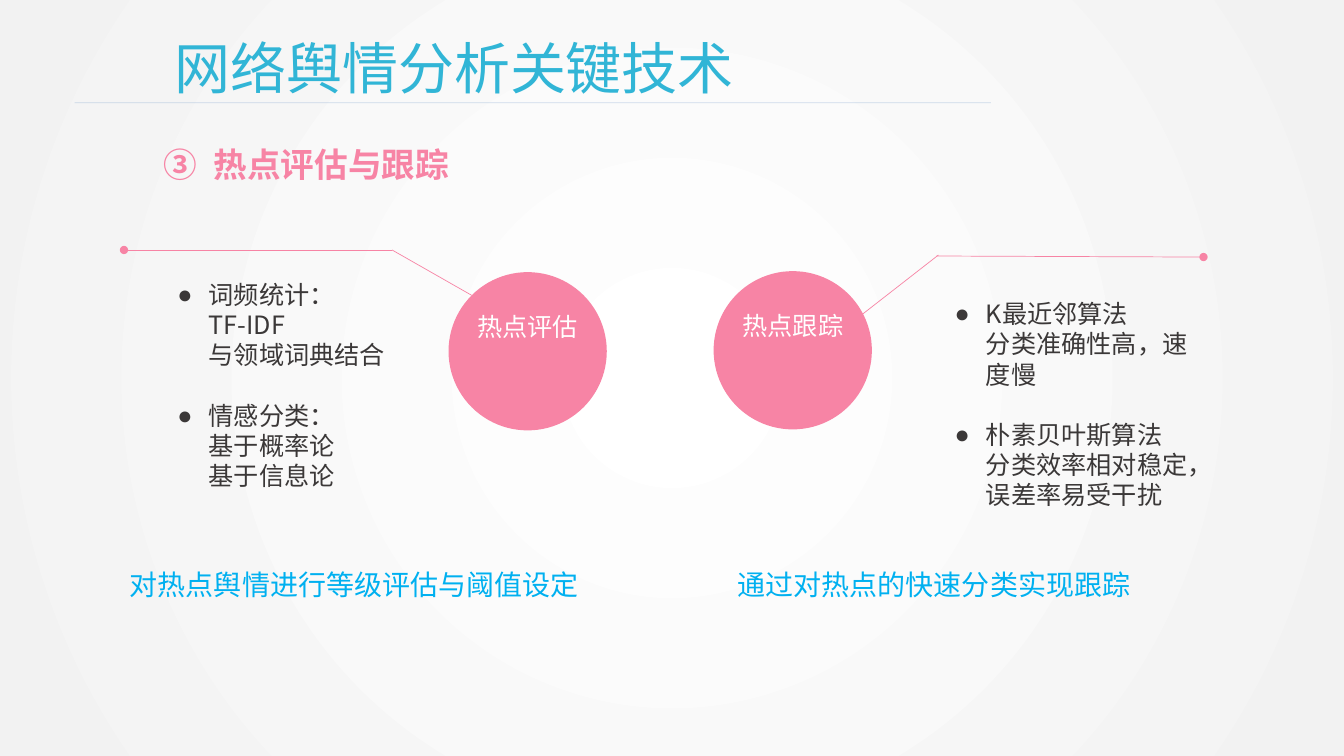
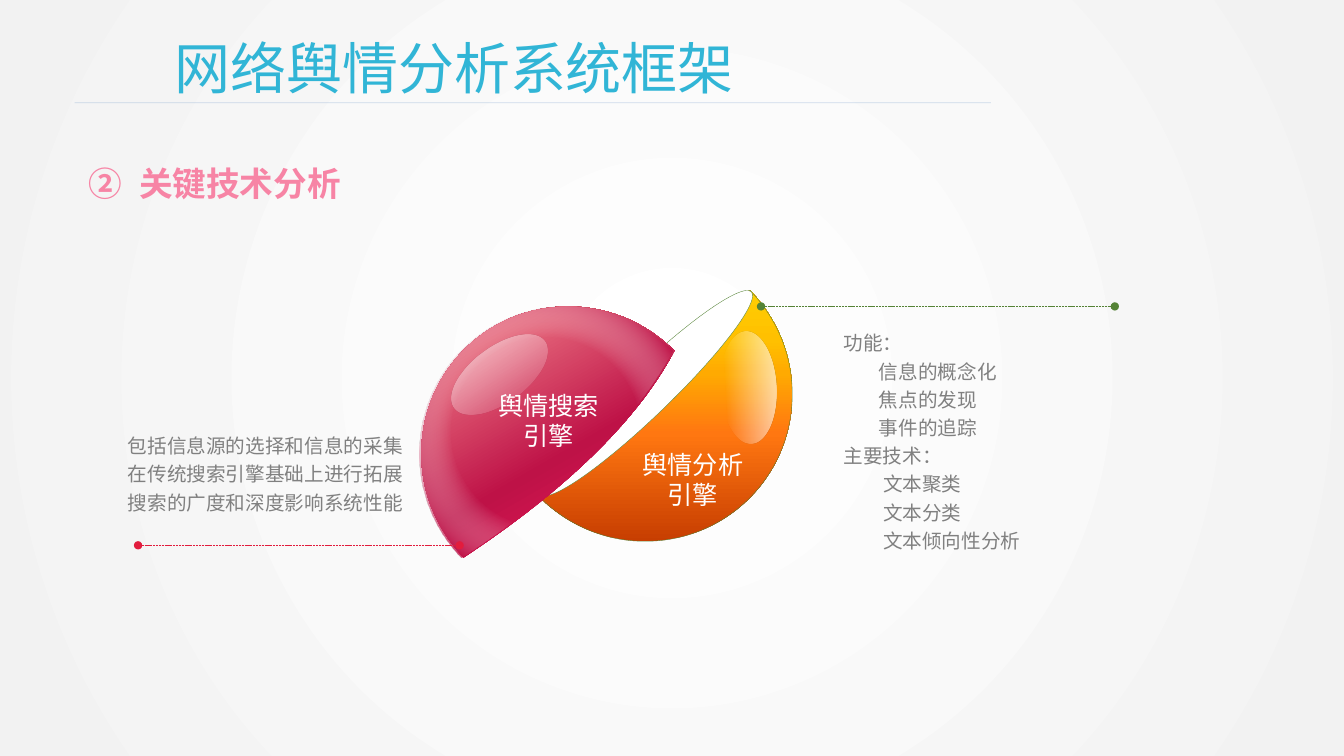
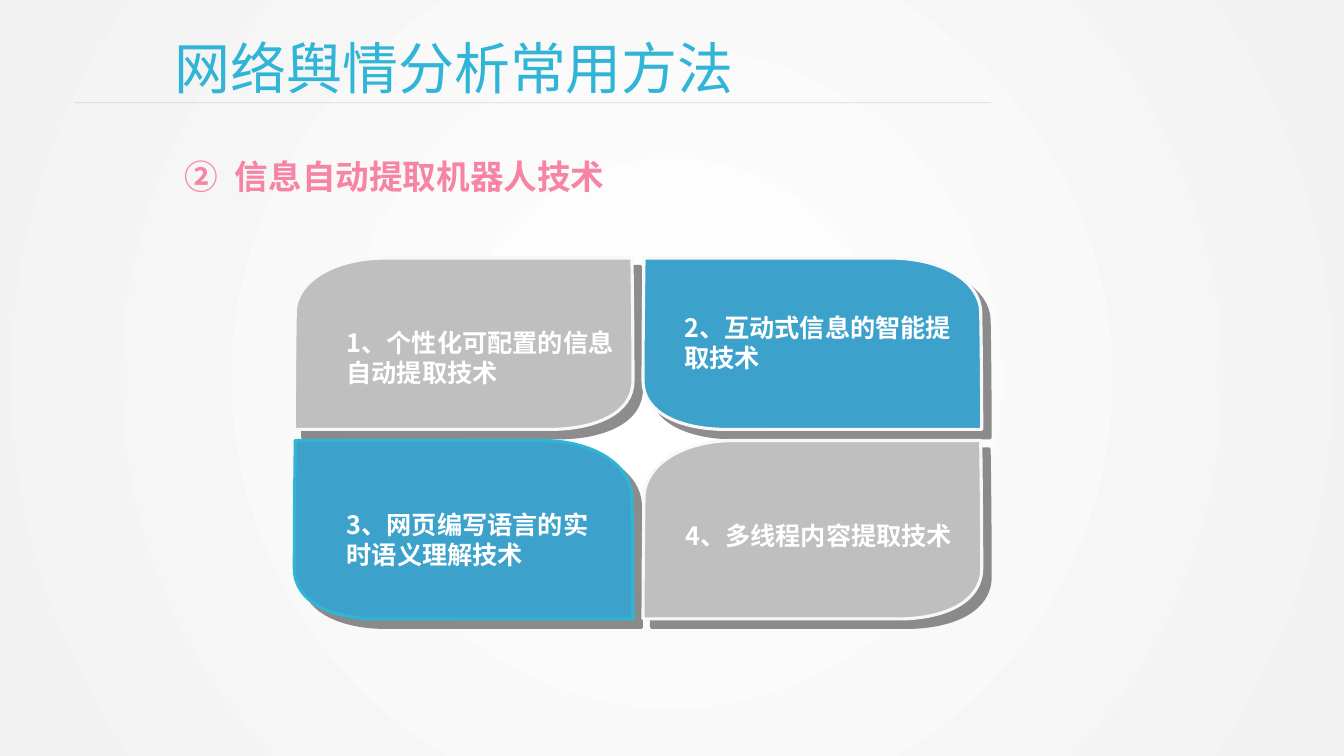
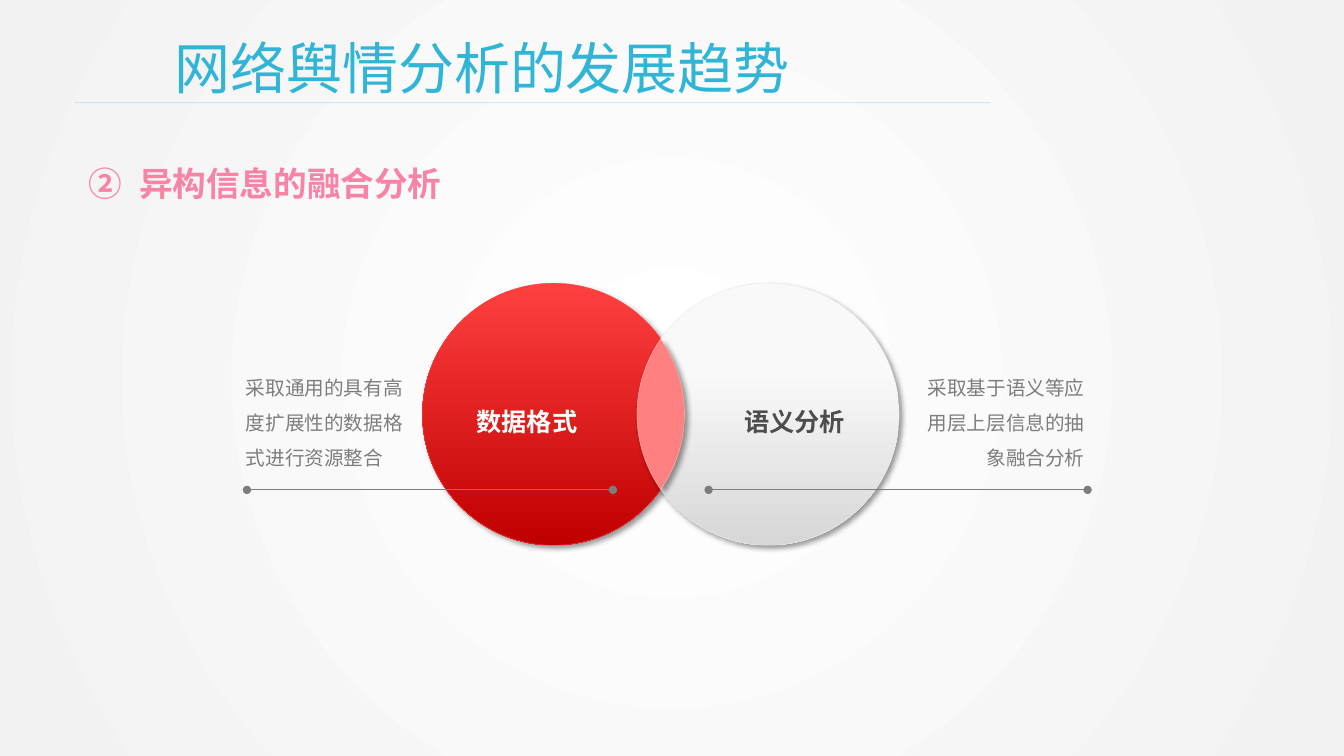
import math

import lxml.etree
import pptx
import pptx.dml.color
import pptx.enum.dml
import pptx.enum.shapes
import pptx.enum.text
import pptx.oxml
import pptx.oxml.ns
import pptx.util

RGBColor = pptx.dml.color.RGBColor
SHAPE = pptx.enum.shapes.MSO_SHAPE
ALIGN = pptx.enum.text.PP_ALIGN
ANCHOR = pptx.enum.text.MSO_ANCHOR
qn = pptx.oxml.ns.qn

EMU_PER_PX = 9144
FONT = "Noto Sans CJK SC"
TITLE_BODY, TWO_BODIES, FOUR_BODIES = 1, 3, 4

WHITE = RGBColor(0xFF, 0xFF, 0xFF)
BLACK = RGBColor(0x00, 0x00, 0x00)
PAGE_EDGE = RGBColor(0xF2, 0xF2, 0xF2)
CYAN = RGBColor(0x31, 0xB5, 0xD6)
RULE_BLUE = RGBColor(0x4A, 0x7E, 0xBB)
PINK = RGBColor(0xF7, 0x84, 0xA5)
SKY = RGBColor(0x00, 0xB0, 0xF0)
CHARCOAL = RGBColor(0x3B, 0x38, 0x38)
TEXT_GREY = RGBColor(0x80, 0x80, 0x80)
CAPTION_GREY = RGBColor(0x7D, 0x7D, 0x7D)
LABEL_GREY = RGBColor(0x4D, 0x4D, 0x4D)
GREEN = RGBColor(0x54, 0x82, 0x35)
LINE_RED = RGBColor(0xE2, 0x1C, 0x3D)
RUST = RGBColor(0xC7, 0x3E, 0x01)
ORANGE = RGBColor(0xFF, 0x77, 0x11)
AMBER = RGBColor(0xFF, 0xAA, 0x01)
GOLD = RGBColor(0xFF, 0xC0, 0x00)
YELLOW = RGBColor(0xFE, 0xCE, 0x02)
CRIMSON = RGBColor(0xBE, 0x12, 0x47)
RUBY = RGBColor(0xD2, 0x14, 0x4F)
SALMON = RGBColor(0xFA, 0x94, 0x96)
LEAF_GREY = RGBColor(0xBF, 0xBF, 0xBF)
LEAF_BLUE = RGBColor(0x3D, 0xA2, 0xCB)
LEAF_EDGE = RGBColor(0xF8, 0xF8, 0xF8)
LEAF_SHADOW = RGBColor(0x1C, 0x1C, 0x1C)
RED = RGBColor(0xFF, 0x40, 0x40)
DARK_RED = RGBColor(0xC0, 0x00, 0x00)
SILVER = RGBColor(0xF9, 0xF9, 0xF9)
DARK_SILVER = RGBColor(0xD7, 0xD7, 0xD7)
SILVER_EDGE = RGBColor(0xEA, 0xEA, 0xEA)
LENS = RGBColor(0xFF, 0x80, 0x80)
LENS_EDGE = RGBColor(0xFF, 0xBF, 0xBF)

HALF_EGG = [
    (187, 0), (224, 17), (251, 44),
    (199, 143), (84, 221), (42, 249),
    (16, 222), (0, 186), (0, 146),
    (0, 65), (65, 0), (146, 0),
]
LEAF = [
    (129, 170), (0, 170), (0, 170),
    (0, 170), (0, 111), (1, 53),
    (2, 25), (36, 0), (92, 0),
    (214, 0), (335, 0), (335, 0),
    (335, 0), (336, 61), (336, 122),
    (336, 154), (299, 169), (258, 170),
]


def px(length):
    return round(length * EMU_PER_PX)


def stop(position, color, opacity=100):
    return (f'<a:gs pos="{position * 1000}"><a:srgbClr val="{color}">'
            f'<a:alpha val="{opacity * 1000}"/></a:srgbClr></a:gs>')


def gradient(*stops, angle=None):
    if angle is None:
        direction = ('<a:path path="circle"><a:fillToRect l="50000" t="50000" '
                     'r="50000" b="50000"/></a:path>')
    else:
        direction = f'<a:lin ang="{angle * 60000}" scaled="0"/>'
    return pptx.oxml.parse_xml(
        f'<a:gradFill {pptx.oxml.ns.nsdecls("a")} rotWithShape="1">'
        f'<a:gsLst>{"".join(stops)}</a:gsLst>{direction}</a:gradFill>')


def use_gradient(fill, properties, gradient_fill):
    fill.background()
    properties.replace(properties.find(qn("a:noFill")), gradient_fill)


def add_shadow(shape, color, opacity, blur, distance, angle=45):
    effects = shape._element.spPr.find(qn("a:effectLst"))
    effects.append(pptx.oxml.parse_xml(
        f'<a:outerShdw {pptx.oxml.ns.nsdecls("a")} blurRad="{pptx.util.Pt(blur)}" '
        f'dist="{pptx.util.Pt(distance)}" dir="{angle * 60000}" algn="tl" rotWithShape="0">'
        f'<a:srgbClr val="{color}"><a:alpha val="{opacity * 1000}"/></a:srgbClr>'
        f'</a:outerShdw>'))


def paint(shape, fill, edge=None, width=0.25, shadow=None):
    shape.shadow.inherit = False
    if isinstance(fill, RGBColor):
        shape.fill.solid()
        shape.fill.fore_color.rgb = fill
    else:
        use_gradient(shape.fill, shape._element.spPr, fill)
    if edge is None:
        shape.line.fill.background()
    else:
        shape.line.color.rgb = edge
        shape.line.width = pptx.util.Pt(width)
    if shadow:
        add_shadow(shape, *shadow)
    return shape


def prepare(frame, anchor=ANCHOR.TOP, insets=(10, 5, 10, 5)):
    frame.word_wrap = True
    frame.auto_size = pptx.enum.text.MSO_AUTO_SIZE.NONE
    frame.vertical_anchor = anchor
    (frame.margin_left, frame.margin_top,
     frame.margin_right, frame.margin_bottom) = map(px, insets)


def write(para, text, size=18, color=WHITE, bold=False, align=ALIGN.LEFT,
          spacing=1.0, before=0, left=0, hang=0, bullet=None, start=None):
    para.alignment = align
    para.line_spacing = spacing
    para.space_before = pptx.util.Pt(before)
    para.space_after = pptx.util.Pt(0)
    properties = para._p.get_or_add_pPr()
    properties.set("marL", str(px(left)))
    properties.set("indent", str(px(-hang)))
    if start:
        mark = lxml.etree.SubElement(properties, qn("a:buAutoNum"))
        mark.set("type", "circleNumDbPlain")
        mark.set("startAt", str(start))
    elif bullet:
        lxml.etree.SubElement(properties, qn("a:buChar")).set("char", bullet)
    else:
        lxml.etree.SubElement(properties, qn("a:buNone"))
    span = para.add_run()
    span.text = text
    span.font.size = pptx.util.Pt(size)
    span.font.bold = bold
    span.font.color.rgb = color
    span.font.name = FONT
    lxml.etree.SubElement(span._r.get_or_add_rPr(), qn("a:ea")).set("typeface", FONT)


def next_para(frame):
    first = frame.paragraphs[0]
    return frame.add_paragraph() if first.runs else first


def place(shape, left, top, width, height):
    shape.left, shape.top, shape.width, shape.height = map(px, (left, top, width, height))
    prepare(shape.text_frame)
    return shape.text_frame


def add_text(page, bounds, *lines, anchor=ANCHOR.TOP, **style):
    frame = page.shapes.add_textbox(*map(px, bounds)).text_frame
    prepare(frame, anchor)
    for line in lines:
        write(next_para(frame), line, **style)


def add_line(page, start, end, color, width=0.5, dash=None, head=False, tail=False, opacity=None):
    line = page.shapes.add_connector(
        pptx.enum.shapes.MSO_CONNECTOR.STRAIGHT, *map(px, (*start, *end)))
    line.line.color.rgb = color
    line.line.width = pptx.util.Pt(width)
    if dash:
        line.line.dash_style = dash
    properties = line._element.spPr
    stroke = properties.find(qn("a:ln"))
    for tag, wanted in (("a:headEnd", head), ("a:tailEnd", tail)):
        if wanted:
            lxml.etree.SubElement(stroke, qn(tag)).set("type", "oval")
    if opacity:
        tint = stroke.find(".//" + qn("a:srgbClr"))
        lxml.etree.SubElement(tint, qn("a:alpha")).set("val", str(opacity * 1000))
    lxml.etree.SubElement(properties, qn("a:effectLst"))


def add_ellipse(page, bounds, fill, rotation=0, kind=SHAPE.OVAL, **style):
    ellipse = page.shapes.add_shape(kind, *map(px, bounds))
    ellipse.rotation = rotation
    return paint(ellipse, fill, **style)


def add_outline(page, knots, fill, **style):
    corners = [(px(x), px(y)) for x, y in knots]
    builder = page.shapes.build_freeform(*corners[-1], scale=1.0)
    builder.add_line_segments(corners, close=True)
    outline = builder.convert_to_shape()
    segments = list(outline._element.iter(qn("a:lnTo")))
    for first in range(0, len(knots), 3):
        curve = lxml.etree.Element(qn("a:cubicBezTo"))
        segments[first].addprevious(curve)
        for segment in segments[first:first + 3]:
            curve.append(segment[0])
            segment.getparent().remove(segment)
    return paint(outline, fill, **style)


def shift(knots, origin, flip=(1, 1)):
    return [(origin[0] + flip[0] * x, origin[1] + flip[1] * y) for x, y in knots]


def arc(center, radius, *degrees):
    knots = []
    for start, end in zip(degrees, degrees[1:]):
        a, b = math.radians(start), math.radians(end)
        pull = 4 / 3 * math.tan((b - a) / 4)
        knots += [
            (math.cos(a) - pull * math.sin(a), math.sin(a) + pull * math.cos(a)),
            (math.cos(b) + pull * math.sin(b), math.sin(b) - pull * math.cos(b)),
            (math.cos(b), math.sin(b)),
        ]
    return shift(knots, center, (radius, radius))


def add_page(deck, layout, title, heading, number, heading_at):
    page = deck.slides.add_slide(deck.slide_layouts[layout])
    frame = place(page.shapes.title, 163, 28, 850, 77)
    write(frame.paragraphs[0], title, size=40, color=CYAN)
    add_line(page, (74, 102), (983, 102), RULE_BLUE, opacity=25)
    frame = place(page.placeholders[1], *heading_at, 480, 50)
    write(frame.paragraphs[0], heading, size=24, color=PINK, bold=True,
          left=50, hang=50, start=number)
    return page


def drop_empty_placeholders(deck):
    for page in deck.slides:
        for holder in list(page.placeholders):
            if not holder.text_frame.text:
                holder.element.getparent().remove(holder.element)


def add_bullet_groups(page, index, bounds, groups):
    frame = place(page.placeholders[index], *bounds)
    for position, (lead, *details) in enumerate(groups):
        write(next_para(frame), lead, color=CHARCOAL, left=31, hang=31, bullet="●",
              before=21.6 if position else 0)
        for detail in details:
            write(next_para(frame), detail, color=CHARCOAL, left=31)


def add_topic_circle(page, left, top, label):
    add_ellipse(page, (left, top, 157, 157), PINK, kind=SHAPE.FLOWCHART_CONNECTOR)
    add_text(page, (left + 16, top + 34, 125, 40), label, align=ALIGN.CENTER)


def build_tracking(deck):
    page = add_page(deck, FOUR_BODIES, "网络舆情分析关键技术", "热点评估与跟踪", 3, (152, 138))
    add_topic_circle(page, 445, 270, "热点评估")
    add_line(page, (389, 248), (123, 248), PINK, tail=True)
    add_line(page, (389, 248), (468, 293), PINK)
    add_bullet_groups(page, 2, (166, 272, 231, 246), [
        ("词频统计：", "TF-IDF", "与领域词典结合"),
        ("情感分类：", "基于概率论", "基于信息论"),
    ])
    add_topic_circle(page, 708, 269, "热点跟踪")
    add_line(page, (929, 254), (1194, 255), PINK, tail=True)
    add_line(page, (854, 313), (931, 253), PINK)
    add_bullet_groups(page, 4, (937, 291, 275, 246), [
        ("K最近邻算法", "分类准确性高，速度慢"),
        ("朴素贝叶斯算法", "分类效率相对稳定，误差率易受干扰"),
    ])
    for left, summary in ((119, "对热点舆情进行等级评估与阈值设定"),
                          (722, "通过对热点的快速分类实现跟踪")):
        add_text(page, (left, 558, 507, 44), summary, size=20, color=SKY)


def add_gloss(page, left, top, rotation):
    add_ellipse(page, (left, top, 111, 55),
                gradient(stop(12, WHITE, 60), stop(84, WHITE, 0), angle=90), rotation)


def build_framework(deck):
    page = add_page(deck, TWO_BODIES, "网络舆情分析系统框架", "关键技术分析", 2, (78, 157))
    add_outline(page, shift(HALF_EGG, (786, 537), (-1, -1)), gradient(
        stop(0, RUST), stop(43, ORANGE), stop(67, AMBER), stop(80, GOLD), stop(100, YELLOW),
        angle=270), edge=GREEN)
    add_gloss(page, 687, 357, 87)
    add_text(page, (616, 441, 143, 71), "舆情分析引擎", align=ALIGN.CENTER)
    add_ellipse(page, (496, 367, 290, 46), WHITE, 316.1, edge=GREEN)

    add_outline(page, shift(HALF_EGG, (418, 304)), gradient(
        stop(0, CRIMSON), stop(25, RUBY), stop(42, CRIMSON), stop(100, SALMON), angle=240))
    add_gloss(page, 440, 344, 323.8)
    add_outline(page, shift(HALF_EGG, (416, 304)), gradient(
        stop(53, WHITE, 0), stop(84, CRIMSON, 80), stop(100, WHITE, 0)))
    add_text(page, (473, 382, 143, 71), "舆情搜索引擎", align=ALIGN.CENTER)

    dash = pptx.enum.dml.MSO_LINE.SQUARE_DOT
    add_line(page, (755, 304), (1106, 304), GREEN, dash=dash, head=True, tail=True)
    add_line(page, (137, 541), (456, 541), LINE_RED, dash=dash, head=True, tail=True)
    add_text(page, (117, 421, 300, 95),
             "包括信息源的选择和信息的采集",
             "在传统搜索引擎基础上进行拓展",
             "搜索的广度和深度影响系统性能",
             size=14, color=TEXT_GREY, spacing=1.2)
    frame = place(page.placeholders[2], 827, 319, 279, 236)
    for indent, lines in (
        (35, ("功能：", "信息的概念化", "焦点的发现", "事件的追踪")),
        (39, ("主要技术：", "文本聚类", "文本分类", "文本倾向性分析")),
    ):
        for position, line in enumerate(lines):
            write(next_para(frame), line, size=14, color=TEXT_GREY, spacing=1.2,
                  left=indent if position else 0)


def build_methods(deck):
    page = add_page(deck, TITLE_BODY, "网络舆情分析常用方法", "信息自动提取机器人技术", 2, (173, 150))
    stretch = 177 / 170
    leaves = (
        ((292, 256), (1, 1), LEAF_GREY, LEAF_EDGE),
        ((974, 256), (-1, 1), LEAF_BLUE, LEAF_EDGE),
        ((628, 437), (-1, stretch), LEAF_BLUE, CYAN),
        ((638, 437), (1, stretch), LEAF_GREY, LEAF_EDGE),
    )
    for origin, flip, fill, edge in leaves:
        add_outline(page, shift(LEAF, origin, flip), fill, edge=edge, width=2.25,
                    shadow=(LEAF_SHADOW, 50, 0, 8.5))
    for left, top, width, label in (
        (334, 319, 286, "1、个性化可配置的信息自动提取技术"),
        (669, 304, 286, "2、互动式信息的智能提取技术"),
        (334, 500, 269, "3、网页编写语言的实时语义理解技术"),
        (670, 496, 286, "4、多线程内容提取技术"),
    ):
        add_text(page, (left, top, width, 71), label, bold=True, anchor=ANCHOR.MIDDLE)


def label_crescent(crescent, text, color, insets):
    prepare(crescent.text_frame, ANCHOR.MIDDLE, insets)
    write(crescent.text_frame.paragraphs[0], text, color=color, bold=True,
          align=ALIGN.CENTER, spacing=1.5)


def build_trends(deck):
    page = add_page(deck, TITLE_BODY, "网络舆情分析的发展趋势", "异构信息的融合分析", 2, (78, 157))
    left_center, right_center, radius = (549, 411), (762, 411), 130
    half = math.degrees(math.acos((right_center[0] - left_center[0]) / 2 / radius))
    shadow = (BLACK, 40, 4, 3)
    red_fade = {"angle": 90}
    lens = (arc(left_center, radius, -half, 0, half)
            + arc(right_center, radius, 180 - half, 180, 180 + half))

    crescent = add_outline(
        page,
        arc(left_center, radius, -90, -half)
        + arc(right_center, radius, 180 + half, 180, 180 - half)
        + arc(left_center, radius, half, 90, 180, 270),
        gradient(stop(0, RED), stop(100, DARK_RED), **red_fade), edge=RED, shadow=shadow)
    label_crescent(crescent, "数据格式", WHITE, (10, 5, 39, 5))
    add_outline(page, lens, gradient(stop(0, RED), stop(100, DARK_RED), **red_fade),
                edge=RED, shadow=shadow)
    crescent = add_outline(
        page,
        arc(right_center, radius, -90, 0, 90, 180 - half)
        + arc(left_center, radius, half, 0, -half)
        + arc(right_center, radius, 180 + half, 270),
        gradient(stop(33, SILVER), stop(100, DARK_SILVER), angle=90),
        edge=SILVER_EDGE, shadow=shadow)
    label_crescent(crescent, "语义分析", LABEL_GREY, (39, 5, 10, 5))
    add_outline(page, lens, LENS, edge=LENS_EDGE, shadow=shadow)

    for bounds, align, start, end, caption in (
        ((234, 356, 180, 116), ALIGN.LEFT, 245, 608,
         "采取通用的具有高度扩展性的数据格式进行资源整合"),
        ((898, 356, 188, 112), ALIGN.RIGHT, 703, 1079,
         "采取基于语义等应用层上层信息的抽象融合分析"),
    ):
        add_text(page, bounds, caption, size=14, color=CAPTION_GREY, align=align, spacing=1.5)
        add_line(page, (start, 486), (end, 486), CAPTION_GREY, width=0.75, head=True, tail=True)


def main():
    deck = pptx.Presentation()
    deck.slide_width, deck.slide_height = px(4000 / 3), px(750)
    master = deck.slide_master
    fill = master.background.fill
    use_gradient(fill, master.element.find(".//" + qn("p:bgPr")),
                 gradient(stop(0, WHITE), stop(100, PAGE_EDGE)))
    build_tracking(deck)
    build_framework(deck)
    build_methods(deck)
    build_trends(deck)
    drop_empty_placeholders(deck)
    deck.save("out.pptx")


if __name__ == "__main__":
    main()
